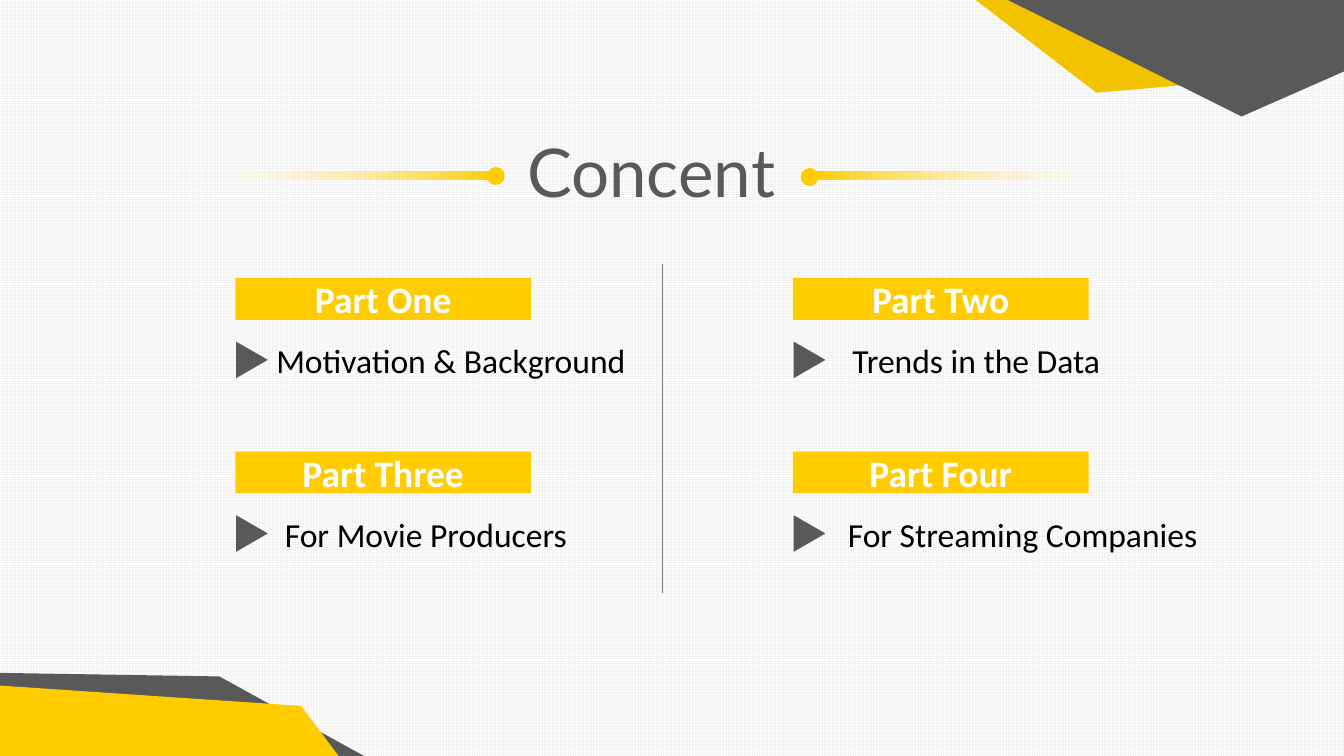
from dataclasses import dataclass

from pptx import Presentation
from pptx import util as u
from pptx.dml.color import RGBColor
from pptx.enum import dml, shapes, text
from pptx.oxml.ns import qn
from lxml import etree


@dataclass(frozen=True)
class Theme:
    yellow: str = "FFCC00"
    dark_yellow: str = "F2C400"
    grey: str = "595959"
    rule_grey: str = "808080"
    grid: str = "F2F2F2"
    white: str = "FFFFFF"
    black: str = "000000"
    title_font: str = "Lato"
    body_font: str = "Calibri"
    title_size: int = 36
    banner_size: int = 20
    item_size: int = 18


def rgb(value):
    return RGBColor.from_string(value)


def write(frame, words, *, font, size, color, bold=False, wrap=True,
          anchor=text.MSO_ANCHOR.TOP, fit=text.MSO_AUTO_SIZE.NONE):
    frame.word_wrap = wrap
    frame.auto_size = fit
    frame.vertical_anchor = anchor
    paragraph = frame.paragraphs[0]
    paragraph.alignment = text.PP_ALIGN.CENTER
    run = paragraph.add_run()
    run.text = words
    run.font.name = font
    run.font.size = u.Pt(size)
    run.font.bold = bold
    run.font.color.rgb = rgb(color)


class Deck:
    def __init__(self, theme, width, height):
        self.theme = theme
        self.file = Presentation()
        self.file.slide_width = u.Pt(width)
        self.file.slide_height = u.Pt(height)
        self.slide = None

    def new_slide(self):
        self.slide = self.file.slides.add_slide(self.file.slide_layouts[5])
        fill = self.slide.background.fill
        fill.patterned()
        fill.pattern = dml.MSO_PATTERN.SMALL_GRID
        fill.fore_color.rgb = rgb(self.theme.grid)
        fill.back_color.rgb = rgb(self.theme.white)

    def paint(self, shape, color):
        shape.shadow.inherit = False
        shape.line.fill.background()
        shape.fill.solid()
        shape.fill.fore_color.rgb = rgb(color)

    def title(self, words, left, top, width, height):
        heading = self.slide.shapes.title
        heading.left, heading.top = u.Pt(left), u.Pt(top)
        heading.width, heading.height = u.Pt(width), u.Pt(height)
        write(heading.text_frame, words, font=self.theme.title_font,
              size=self.theme.title_size, color=self.theme.grey,
              fit=text.MSO_AUTO_SIZE.SHAPE_TO_FIT_TEXT)

    def preset(self, kind, left, top, width, height, color):
        shape = self.slide.shapes.add_shape(
            kind, u.Pt(left), u.Pt(top), u.Pt(width), u.Pt(height))
        self.paint(shape, color)
        return shape

    def polygon(self, points, color):
        start, *rest = [(u.Pt(x), u.Pt(y)) for x, y in points]
        builder = self.slide.shapes.build_freeform(*start)
        builder.add_line_segments(rest, close=True)
        self.paint(builder.convert_to_shape(), color)

    def fading_bar(self, left, top, width, height, angle):
        bar = self.preset(shapes.MSO_SHAPE.RECTANGLE, left, top, width, height,
                          self.theme.yellow)
        bar.fill.gradient()
        bar.fill.gradient_angle = angle
        near, far = bar.fill.gradient_stops
        near.position, far.position = 0, 1
        near.color.rgb = rgb(self.theme.yellow)
        far.color.rgb = rgb(self.theme.white)
        clear = bar.fill._xPr.findall(".//" + qn("a:srgbClr"))[-1]
        etree.SubElement(clear, qn("a:alpha"), val="0")

    def banner(self, words, left, top):
        box = self.preset(shapes.MSO_SHAPE.RECTANGLE, left, top, 158.4, 22.4,
                          self.theme.yellow)
        write(box.text_frame, words, font=self.theme.body_font,
              size=self.theme.banner_size, color=self.theme.white, bold=True,
              anchor=text.MSO_ANCHOR.MIDDLE)

    def pointer(self, left, top):
        arrow = self.preset(shapes.MSO_SHAPE.ISOSCELES_TRIANGLE, left, top,
                            19.6, 17, self.theme.grey)
        arrow.rotation = 90

    def item(self, words, left, top, width):
        box = self.slide.shapes.add_textbox(
            u.Pt(left), u.Pt(top), u.Pt(width), u.Pt(29))
        write(box.text_frame, words, font=self.theme.body_font,
              size=self.theme.item_size, color=self.theme.black, wrap=False,
              fit=text.MSO_AUTO_SIZE.SHAPE_TO_FIT_TEXT)

    def rule(self, x, top, bottom):
        line = self.slide.shapes.add_connector(
            shapes.MSO_CONNECTOR.STRAIGHT, u.Pt(x), u.Pt(top), u.Pt(x), u.Pt(bottom))
        line.line.color.rgb = rgb(self.theme.rule_grey)
        line.line.width = u.Pt(0.75)
        etree.SubElement(line._element.spPr, qn("a:effectLst"))


def main():
    theme = Theme()
    width, height = 720, 405
    deck = Deck(theme, width, height)
    deck.new_slide()

    deck.polygon([(width, 0), (width, 38), (587.5, 49.7), (522.7, 0)],
                 theme.dark_yellow)
    deck.polygon([(0, height), (0, 360.5), (117.5, 362.4), (195, height)],
                 theme.grey)

    deck.title("Concent", 272.9, 66.3, 151.9, 51)
    for dot_left, dot_top, bar_left, angle in [(260.8, 89.5, 93.6, 180),
                                               (428.9, 90, 436.3, 0)]:
        deck.preset(shapes.MSO_SHAPE.OVAL, dot_left, dot_top, 9.6, 9.6, theme.yellow)
        deck.fading_bar(bar_left, 92, 172, 4, angle)

    columns = 126.1, 424.8
    first_row, row_step = 149, 93
    parts = [
        ("Part One", "Motivation & Background", 13.6, 203.8),
        ("Part Two", "Trends in the Data", 23.8, 149),
        ("Part Three", "For Movie Producers", 18.6, 167),
        ("Part Four", "For Streaming Companies", 22.3, 201.6),
    ]
    for index, (part, topic, indent, topic_width) in enumerate(parts):
        row, column = divmod(index, len(columns))
        left, top = columns[column], first_row + row * row_step
        deck.banner(part, left, top)
        deck.pointer(left - 0.9, top + 35.3)
        deck.item(topic, left + indent, top + 29.6, topic_width)
    deck.rule(355, 141.6, 317.5)

    deck.polygon([(0, height), (0, 367.3), (161.3, 378.2), (181.4, height)],
                 theme.yellow)
    deck.polygon([(width, 0), (width, 38.3), (665.2, 62.4), (540, 0)], theme.grey)
    deck.file.save("out.pptx")


if __name__ == "__main__":
    main()
